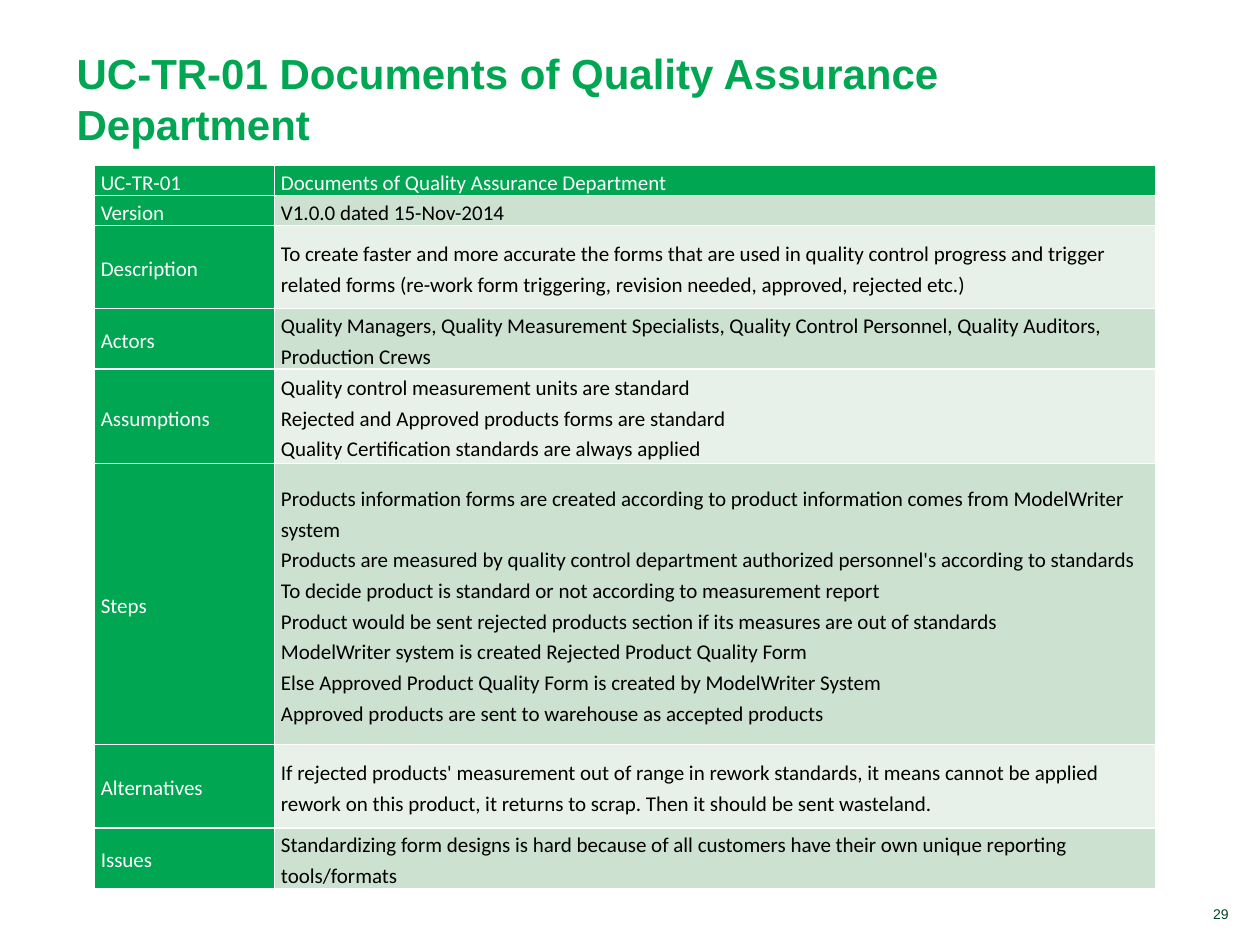
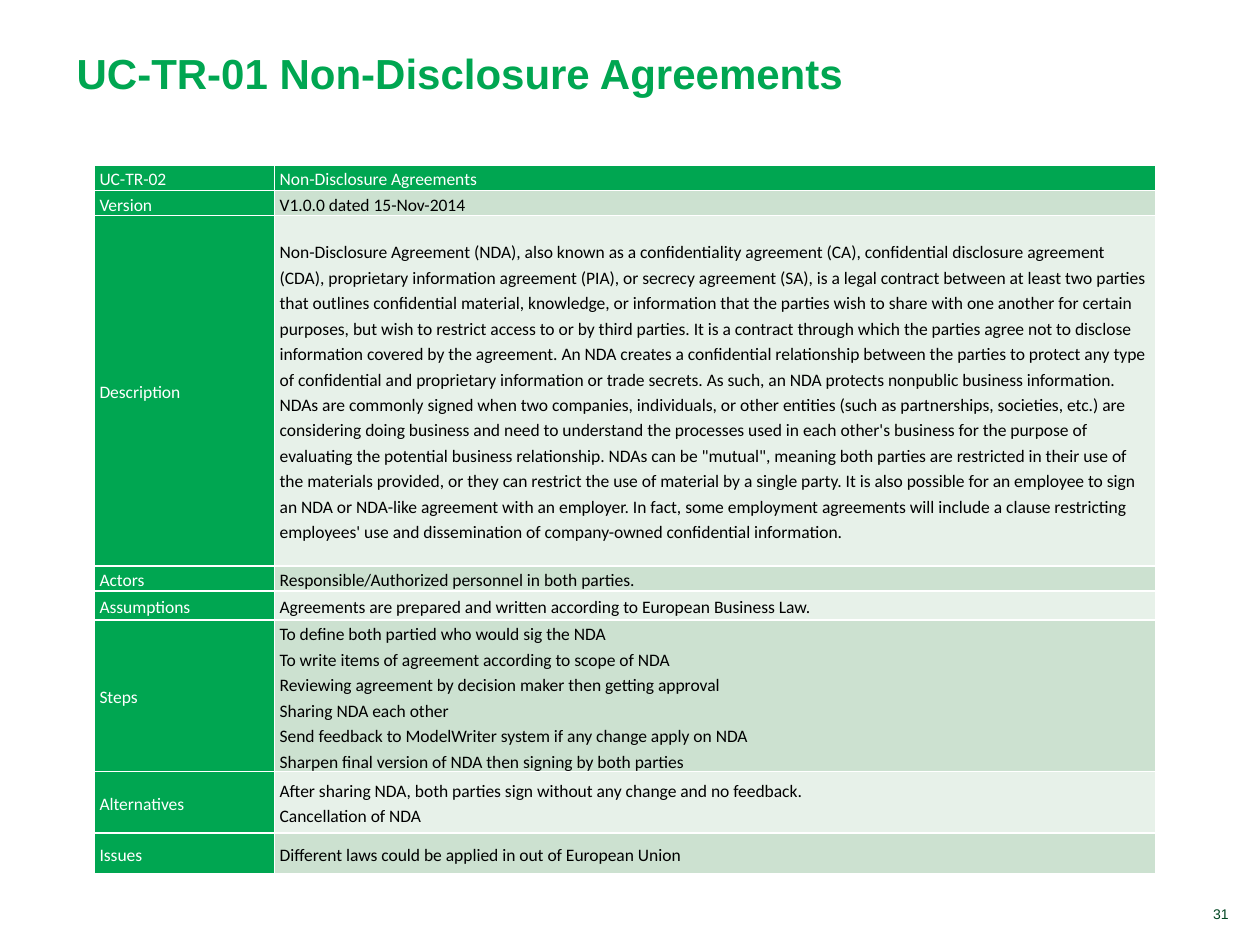
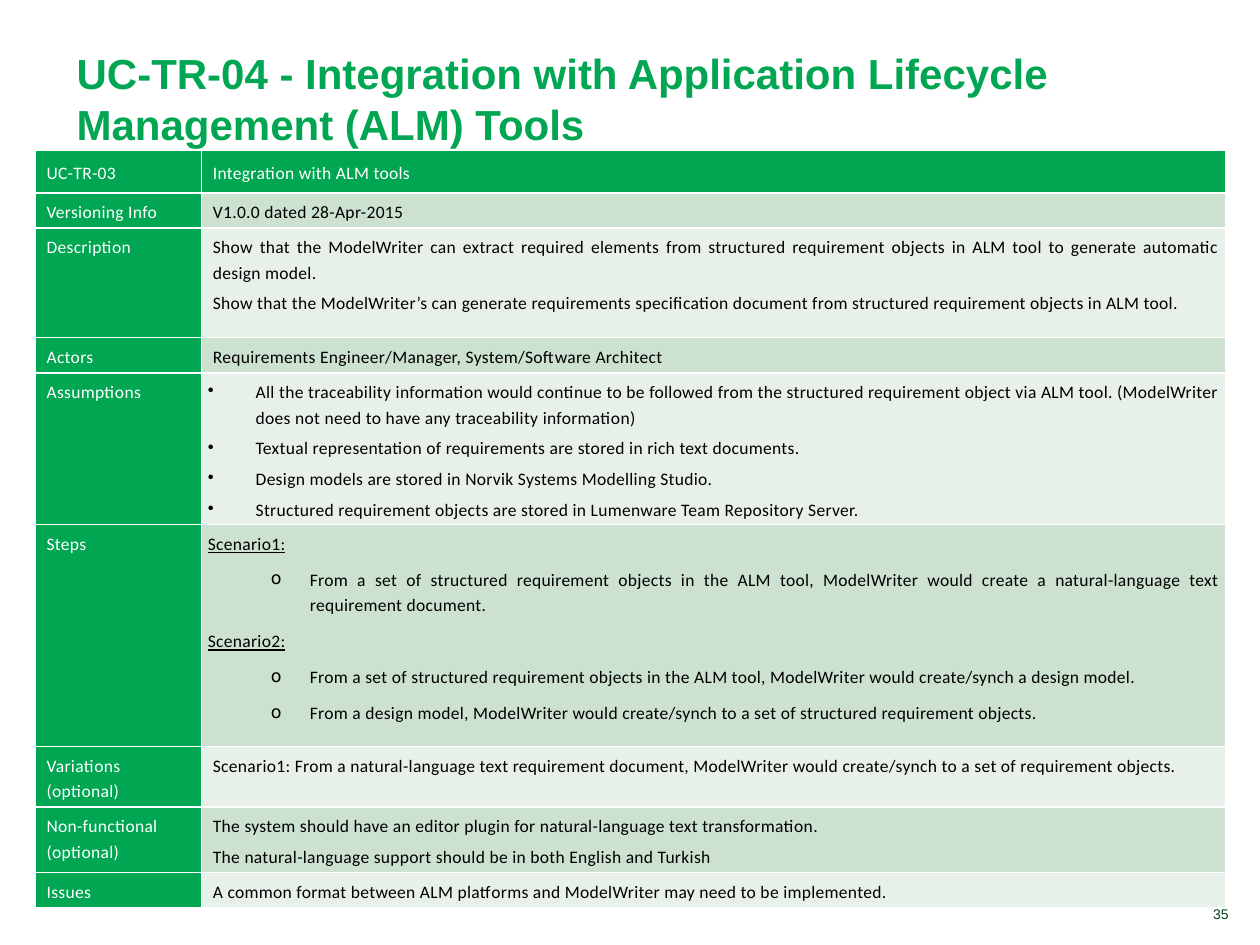
from dataclasses import dataclass
from typing import NamedTuple

import pptx
import pptx.dml.color
import pptx.enum.text
import pptx.oxml
import pptx.oxml.ns
import pptx.util

# Shared grid: 40 columns by 30 rows of quarter-inch cells
CELL = 0.25
COLUMNS, ROWS = 40, 30

# Shared colours
GREEN, DARK_GREEN = "00A651", "004621"
BANDS = ("CCE1D0", "E7F1E9")
WHITE, BLACK = "FFFFFF", "000000"

ALIGN = pptx.enum.text.PP_ALIGN
ANCHOR = pptx.enum.text.MSO_ANCHOR


class Area(NamedTuple):
    left: float
    top: float
    width: float
    height: float


class LineStyle(NamedTuple):
    """Indents in grid columns, space before in points."""
    margin: float = 0
    hanging: float = 0
    before: float = 0
    bullet: str = ""
    level: int = 0
    underline: bool = False


PLAIN = LineStyle()
INSET = LineStyle(margin=0.16, before=3)
BULLET = LineStyle(margin=1.52, hanging=1.52, before=3, bullet="•")
SCENARIO = LineStyle(before=6, underline=True)
SCENARIO_STEP = LineStyle(margin=3.24, hanging=1.24, before=6, bullet="o", level=1)


class Line(NamedTuple):
    text: str
    style: LineStyle


class Entry(NamedTuple):
    height: float
    label: str
    lines: list


@dataclass(frozen=True)
class TableStyle:
    left: float
    top: float
    widths: tuple[float, float]
    size: int
    side: float
    vertical: float = 0
    header_vertical: float = 0
    anchor: ANCHOR = ANCHOR.MIDDLE
    align: ALIGN = ALIGN.LEFT
    line: LineStyle = PLAIN
    tracking: int = 0


@dataclass(frozen=True)
class UseCase:
    title: str
    number: str
    style: TableStyle
    entries: list[Entry]


TITLE_AREA = Area(2.04, 1.16, 34, 3.64)
NUMBER_AREA = Area(34.16, 28.56, 5.24, 0.92)
LARGE_TEXT = TableStyle(3, 5.24, (5.72, 27.96), 12, 0.2)
SMALL_TEXT = TableStyle(3, 5.24, (5.72, 27.96), 10, 0.16)
WIDE = TableStyle(1.12, 4.76, (5.28, 32.52), 10, 0.2, 0.16, 0.28,
                  ANCHOR.TOP, ALIGN.JUSTIFY, INSET, 20)

USE_CASES = [
    UseCase("UC-TR-01 Documents of Quality Assurance Department", "29", LARGE_TEXT, [
        Entry(0.88, "UC-TR-01", ["Documents of Quality Assurance Department"]),
        Entry(0.88, "Version", ["V1.0.0 dated 15-Nov-2014"]),
        Entry(2.64, "Description", [
            "To create faster and more accurate the forms that are used in quality control "
            "progress and trigger related forms (re-work form triggering, revision needed, "
            "approved, rejected etc.)"]),
        Entry(1.76, "Actors", [
            "Quality Managers, Quality Measurement Specialists, Quality Control Personnel, "
            "Quality Auditors, Production Crews"]),
        Entry(3, "Assumptions", [
            "Quality control measurement units are standard",
            "Rejected and Approved products forms are standard",
            "Quality Certification standards are always applied"]),
        Entry(8.92, "Steps", [
            "Products information forms are created according to product information comes "
            "from ModelWriter system",
            "Products are measured by quality control department authorized personnel's "
            "according to standards",
            "To decide product is standard or not according to measurement report",
            "Product would be sent rejected products section if its measures are out of "
            "standards",
            "ModelWriter system is created Rejected Product Quality Form",
            "Else Approved Product Quality Form is created by ModelWriter System",
            "Approved products are sent to warehouse as accepted products"]),
        Entry(2.64, "Alternatives", [
            "If rejected products' measurement out of range in rework standards, it means "
            "cannot be applied rework on this product, it returns to scrap. Then it should "
            "be sent wasteland."]),
        Entry(1.76, "Issues", [
            "Standardizing form designs is hard because of all customers have their own "
            "unique reporting tools/formats"]),
    ]),
    UseCase("UC-TR-01 Non-Disclosure Agreements", "31", SMALL_TEXT, [
        Entry(0.64, "UC-TR-02", ["Non-Disclosure Agreements"]),
        Entry(0.64, "Version", ["V1.0.0 dated 15-Nov-2014"]),
        Entry(11.12, "Description", [
            "Non-Disclosure Agreement (NDA), also known as a confidentiality agreement (CA), "
            "confidential disclosure agreement (CDA), proprietary information agreement "
            "(PIA), or secrecy agreement (SA), is a legal contract between at least two "
            "parties that outlines confidential material, knowledge, or information that the "
            "parties wish to share with one another for certain purposes, but wish to "
            "restrict access to or by third parties. It is a contract through which the "
            "parties agree not to disclose information covered by the agreement. An NDA "
            "creates a confidential relationship between the parties to protect any type of "
            "confidential and proprietary information or trade secrets. As such, an NDA "
            "protects nonpublic business information.",
            "NDAs are commonly signed when two companies, individuals, or other entities "
            "(such as partnerships, societies, etc.) are considering doing business and need "
            "to understand the processes used in each other's business for the purpose of "
            "evaluating the potential business relationship. NDAs can be \"mutual\", meaning "
            "both parties are restricted in their use of the materials provided, or they can "
            "restrict the use of material by a single party. It is also possible for an "
            "employee to sign an NDA or NDA-like agreement with an employer. In fact, some "
            "employment agreements will include a clause restricting employees' use and "
            "dissemination of company-owned confidential information."]),
        Entry(0.64, "Actors", ["Responsible/Authorized personnel in both parties."]),
        Entry(0.92, "Assumptions", [
            "Agreements are prepared and written according to European Business Law."]),
        Entry(4, "Steps", [
            "To define both partied who would sig the NDA",
            "To write items of agreement according to scope of NDA",
            "Reviewing agreement by decision maker then getting approval",
            "Sharing NDA each other",
            "Send feedback to ModelWriter system if any change apply on NDA",
            "Sharpen final version of NDA then signing by both parties"]),
        Entry(1.96, "Alternatives", [
            "After sharing NDA, both parties sign without any change and no feedback.",
            "Cancellation of NDA"]),
        Entry(1.28, "Issues", ["Different laws could be applied in out of European Union"]),
    ]),
    UseCase("UC-TR-04 - Integration with Application Lifecycle Management (ALM) Tools", "35",
            WIDE, [
        Entry(1.32, "UC-TR-03", ["Integration with ALM tools"]),
        Entry(1.08, "Versioning Info", ["V1.0.0 dated 28-Apr-2015"]),
        Entry(3.48, "Description", [
            "Show that the ModelWriter can extract required elements from structured "
            "requirement objects in ALM tool to generate automatic design model.",
            "Show that the ModelWriter’s can generate requirements specification document "
            "from structured requirement objects in ALM tool."]),
        Entry(1.08, "Actors", ["Requirements Engineer/Manager, System/Software Architect"]),
        Entry(4.72, "Assumptions", [Line(text, BULLET) for text in (
            "All the traceability information would continue to be followed from the "
            "structured requirement object via ALM tool. (ModelWriter does not need to have "
            "any traceability information)",
            "Textual representation of requirements are stored in rich text documents.",
            "Design models are stored in Norvik Systems Modelling Studio.",
            "Structured requirement objects are stored in Lumenware Team Repository Server.",
        )]),
        Entry(7.04, "Steps", [
            Line("Scenario1:", SCENARIO),
            Line("From a set of structured requirement objects in the ALM tool, ModelWriter "
                 "would create a natural-language text requirement document.", SCENARIO_STEP),
            Line("Scenario2:", SCENARIO),
            Line("From a set of structured requirement objects in the ALM tool, ModelWriter "
                 "would create/synch a design model.", SCENARIO_STEP),
            Line("From a design model, ModelWriter would create/synch to a set of structured "
                 "requirement objects.", SCENARIO_STEP)]),
        Entry(1.88, "Variations (optional)", [
            "Scenario1: From a natural-language text requirement document, ModelWriter would "
            "create/synch to a set of requirement objects."]),
        Entry(2.04, "Non-functional (optional)", [
            "The system should have an editor plugin for natural-language text "
            "transformation.",
            "The natural-language support should be in both English and Turkish"]),
        Entry(1.12, "Issues", [
            "A common format between ALM platforms and ModelWriter may need to be "
            "implemented."]),
    ]),
]


def grid(cells: float) -> int:
    return pptx.util.Inches(cells * CELL)


def colour(value: str) -> pptx.dml.color.RGBColor:
    return pptx.dml.color.RGBColor.from_string(value)


def apply(target, values: dict) -> None:
    for name, value in values.items():
        setattr(target, name, value)


def add_span(para, text: str, font: str, size: int, ink: str, **extra):
    span = para.add_run()
    span.text = text
    apply(span.font, {"name": font, "size": pptx.util.Pt(size), **extra})
    span.font.color.rgb = colour(ink)
    return span


def add_label(page, area: Area, text: str, size: int, ink: str, *,
              frame: dict, align: ALIGN = ALIGN.LEFT, bold: bool = False) -> None:
    box = page.shapes.add_textbox(*map(grid, area))
    apply(box.text_frame, {"word_wrap": True, **frame})
    para = box.text_frame.paragraphs[0]
    para.alignment = align
    add_span(para, text, "Arial", size, ink, bold=bold)


def border_cell(cell) -> None:
    properties = cell._tc.get_or_add_tcPr()
    for side in "LRTB":
        properties.append(pptx.oxml.parse_xml(
            f'<a:ln{side} {pptx.oxml.ns.nsdecls("a")} w="12700"><a:solidFill>'
            f'<a:srgbClr val="{WHITE}"/></a:solidFill></a:ln{side}>'))


def indent(para, line: LineStyle) -> None:
    properties = para._p.get_or_add_pPr()
    properties.set("marL", str(grid(line.margin)))
    properties.set("indent", str(-grid(line.hanging)))
    if line.bullet:
        properties.append(pptx.oxml.parse_xml(
            f'<a:buChar {pptx.oxml.ns.nsdecls("a")} char="{line.bullet}"/>'))


def fill_cell(cell, lines: list, style: TableStyle, fill: str, ink: str, header: bool) -> None:
    border_cell(cell)
    cell.fill.solid()
    cell.fill.fore_color.rgb = colour(fill)
    side = grid(style.side)
    vertical = grid(style.header_vertical if header else style.vertical)
    apply(cell, {"margin_left": side, "margin_right": side,
                 "margin_top": vertical, "margin_bottom": vertical,
                 "vertical_anchor": ANCHOR.MIDDLE if header else style.anchor})
    for index, item in enumerate(lines):
        text, line = item if isinstance(item, Line) else (item, style.line)
        frame = cell.text_frame
        para = frame.add_paragraph() if index else frame.paragraphs[0]
        indent(para, line)
        apply(para, {"alignment": style.align, "line_spacing": 1.2, "level": line.level,
                     "space_before": pptx.util.Pt(line.before if index else 0)})
        span = add_span(para, text, "Calibri", style.size, ink, underline=line.underline)
        if style.tracking:
            span._r.get_or_add_rPr().set("spc", str(style.tracking))


def add_use_case_table(page, style: TableStyle, entries: list[Entry]) -> None:
    area = Area(style.left, style.top, sum(style.widths),
                sum(entry.height for entry in entries))
    table = page.shapes.add_table(len(entries), 2, *map(grid, area)).table
    for column, width in zip(table.columns, style.widths):
        column.width = grid(width)
    for index, entry in enumerate(entries):
        table.rows[index].height = grid(entry.height)
        header = index == 0
        fill, ink = (GREEN, WHITE) if header else (BANDS[(index - 1) % 2], BLACK)
        fill_cell(table.cell(index, 0), [entry.label], style, GREEN, WHITE, header)
        fill_cell(table.cell(index, 1), entry.lines, style, fill, ink, header)


def add_page(deck, case: UseCase) -> None:
    page = deck.slides.add_slide(deck.slide_layouts[6])
    page.background.fill.solid()
    page.background.fill.fore_color.rgb = colour(WHITE)
    # Page number lies beneath the table
    add_label(page, NUMBER_AREA, case.number, 8, DARK_GREEN, align=ALIGN.RIGHT,
              frame={"vertical_anchor": ANCHOR.BOTTOM})
    # Titles start on the same line, whether they take one line or two
    add_label(page, TITLE_AREA, case.title, 24, GREEN, bold=True,
              frame={"vertical_anchor": ANCHOR.TOP, "margin_top": grid(0.36)})
    add_use_case_table(page, case.style, case.entries)


def main() -> None:
    deck = pptx.Presentation()
    apply(deck, {"slide_width": grid(COLUMNS), "slide_height": grid(ROWS)})
    for case in USE_CASES:
        add_page(deck, case)
    deck.save("out.pptx")


if __name__ == "__main__":
    main()
